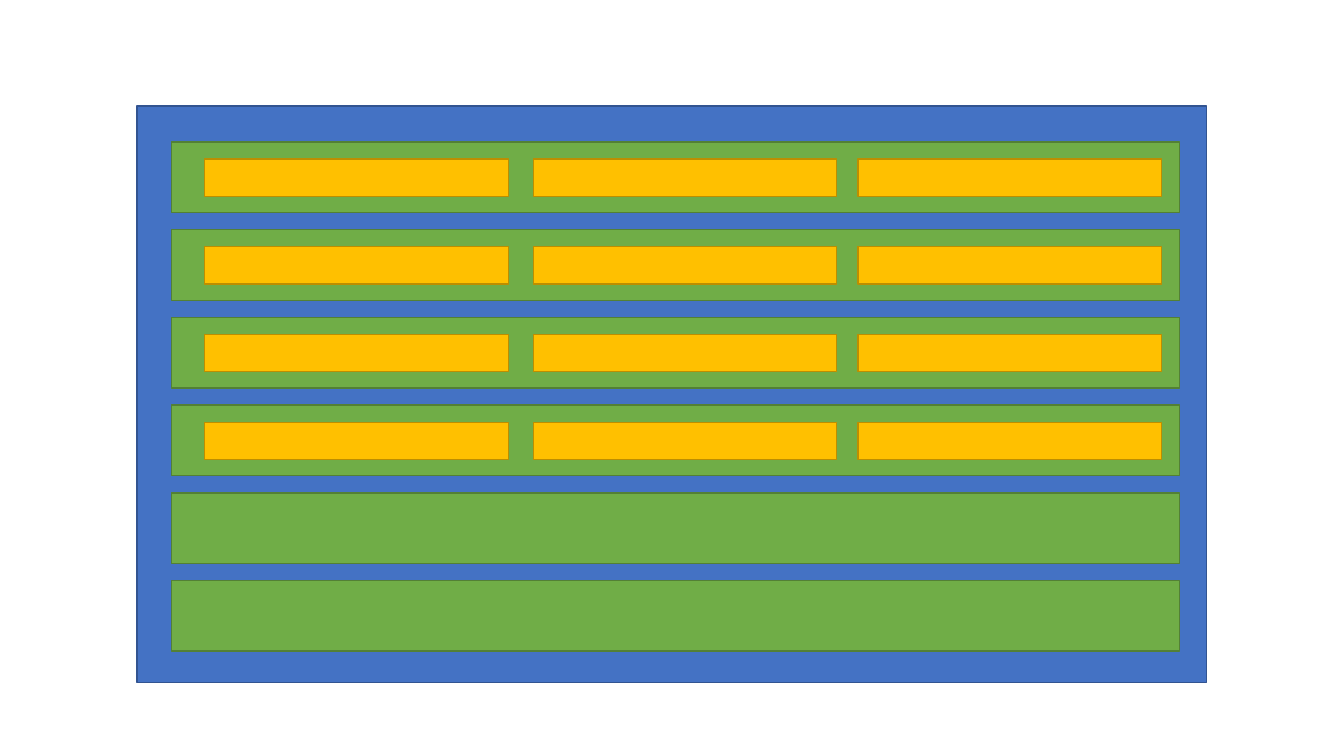
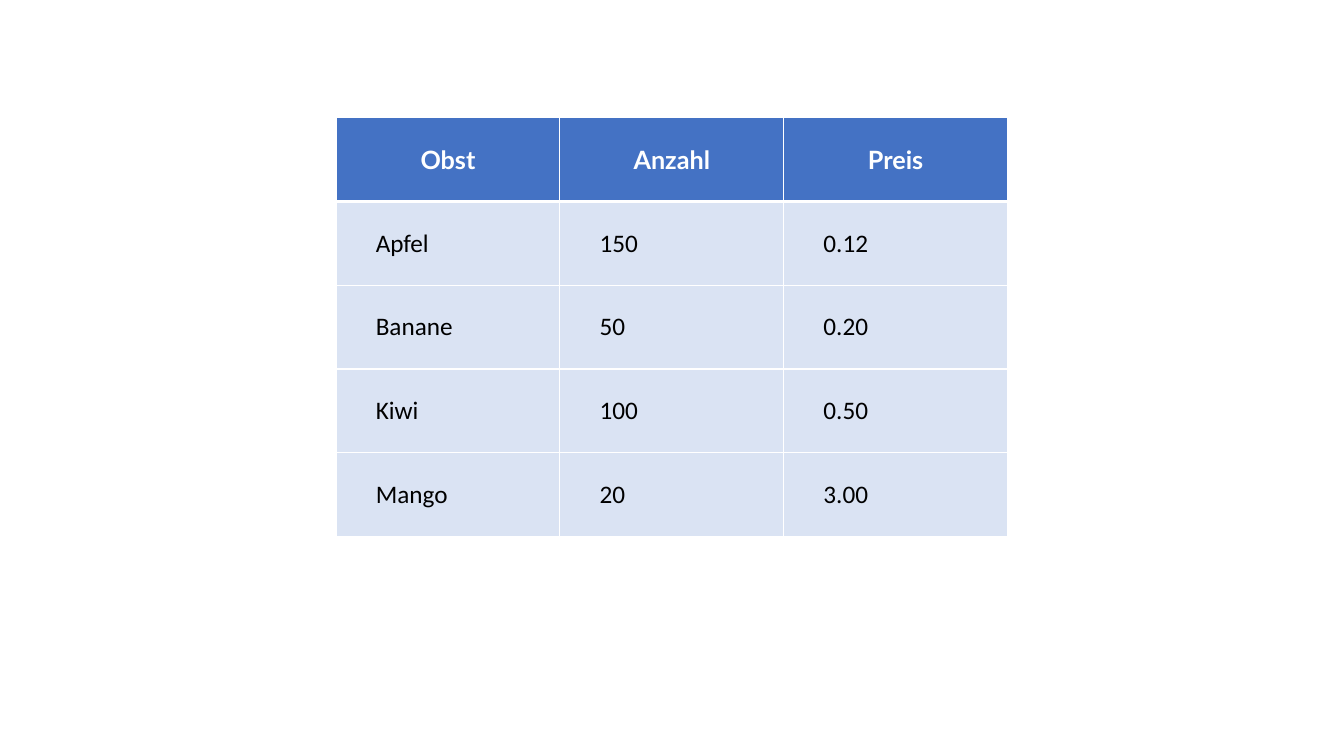
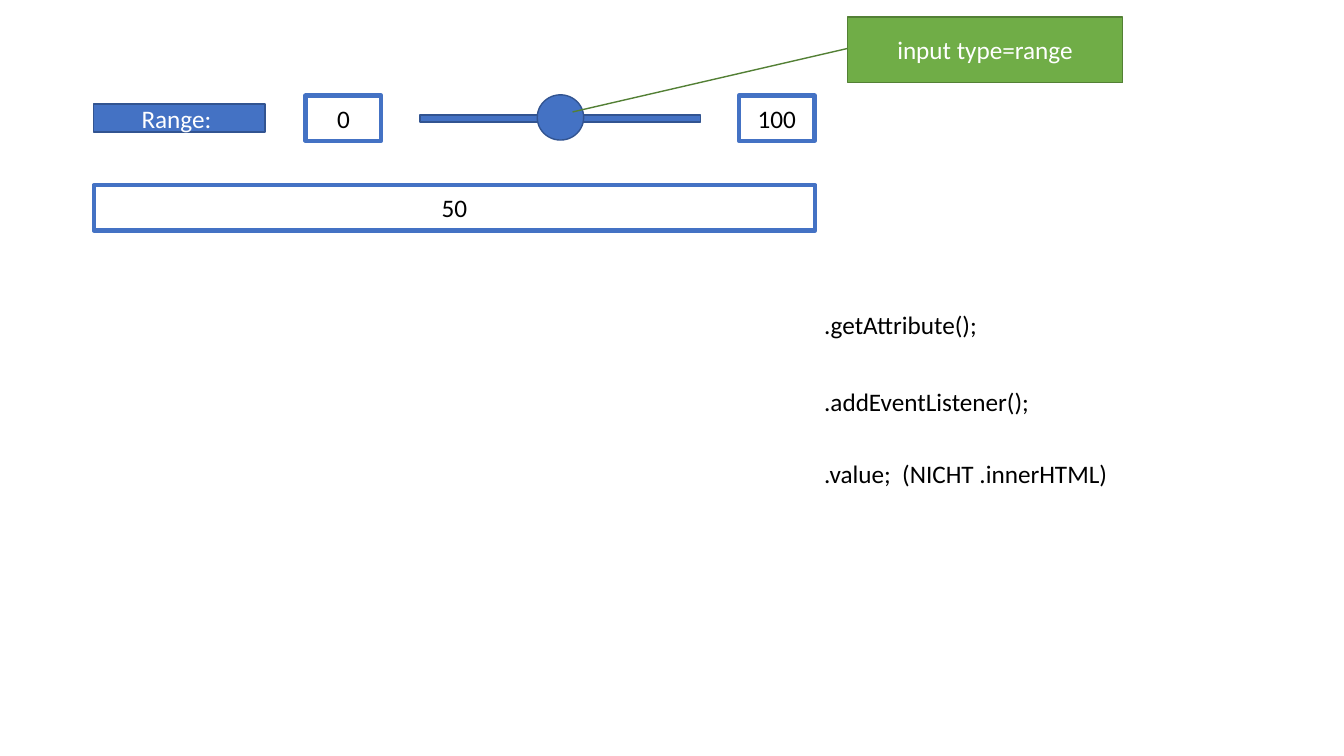
from dataclasses import dataclass

import pptx
import pptx.dml.color
import pptx.enum.shapes
import pptx.enum.text
import pptx.oxml
import pptx.oxml.ns
import pptx.presentation
import pptx.shapes.autoshape
import pptx.slide
import pptx.table
import pptx.text.text
import pptx.util

Cm = pptx.util.Cm
Pt = pptx.util.Pt
Kind = pptx.enum.shapes.MSO_SHAPE
Align = pptx.enum.text.PP_ALIGN
Anchor = pptx.enum.text.MSO_ANCHOR

COLORS = {
    "blue": "4472C4",
    "blue_edge": "325491",
    "blue_pale": "DAE3F3",
    "green": "70AD47",
    "green_edge": "538035",
    "gold": "FFC000",
    "gold_edge": "BD8E00",
    "white": "FFFFFF",
    "black": "000000",
}
BODY_FONT = "Calibri"
HEAD_FONT = "Lato"
TEXT_SIZE = 18


@dataclass(frozen=True)
class Look:
    fill: str
    edge: str
    edge_width: float = 1
    text: str = "white"


BLUE = Look("blue", "blue_edge")
GREEN = Look("green", "green_edge")
GOLD = Look("gold", "gold_edge")
FIELD = Look("white", "blue", 3, "black")


@dataclass(frozen=True)
class Box:
    """A filled shape; lengths are in centimetres."""
    left: float
    top: float
    width: float
    height: float
    look: Look
    text: str = ""
    kind: Kind = Kind.RECTANGLE


def rgb(name: str) -> pptx.dml.color.RGBColor:
    return pptx.dml.color.RGBColor.from_string(COLORS[name])


def blank_slide(prs: pptx.presentation.Presentation) -> pptx.slide.Slide:
    return prs.slides.add_slide(prs.slide_layouts[6])


def style_text(tf: pptx.text.text.TextFrame, color: str, align: Align = Align.LEFT,
               font: str = BODY_FONT, bold: bool = False) -> None:
    for p in tf.paragraphs:
        p.alignment = align
        for r in p.runs:
            r.font.name = font
            r.font.size = Pt(TEXT_SIZE)
            r.font.bold = bold
            r.font.color.rgb = rgb(color)


def add_box(s: pptx.slide.Slide, box: Box) -> pptx.shapes.autoshape.Shape:
    sp = s.shapes.add_shape(box.kind, Cm(box.left), Cm(box.top), Cm(box.width), Cm(box.height))
    sp.shadow.inherit = False
    sp.fill.solid()
    sp.fill.fore_color.rgb = rgb(box.look.fill)
    sp.line.color.rgb = rgb(box.look.edge)
    sp.line.width = Pt(box.look.edge_width)
    if box.text:
        tf = sp.text_frame
        tf.text = box.text
        tf.vertical_anchor = Anchor.MIDDLE
        style_text(tf, box.look.text, Align.CENTER)
    return sp


def add_label(s: pptx.slide.Slide, text: str, left: float, top: float, width: float) -> None:
    sp = s.shapes.add_textbox(Cm(left), Cm(top), Cm(width), Cm(1.03))
    tf = sp.text_frame
    tf.word_wrap = True
    tf.auto_size = pptx.enum.text.MSO_AUTO_SIZE.SHAPE_TO_FIT_TEXT
    tf.text = text
    style_text(tf, "black")


def set_borders(cell: pptx.table._Cell, top: float, bottom: float) -> None:
    """Draw white borders; call before filling, as the schema puts lines first."""
    tc_pr = cell._tc.get_or_add_tcPr()
    for side, width in (("L", 1), ("R", 1), ("T", top), ("B", bottom)):
        tc_pr.append(pptx.oxml.parse_xml(
            f'<a:ln{side} {pptx.oxml.ns.nsdecls("a")} w="{Pt(width)}"><a:solidFill>'
            f'<a:srgbClr val="{COLORS["white"]}"/></a:solidFill></a:ln{side}>'))


def build_grid_slide(prs: pptx.presentation.Presentation) -> None:
    s = blank_slide(prs)
    add_box(s, Box(3.45, 2.67, 26.95, 14.53, BLUE))
    row_tops = [3.58 + 2.21 * i for i in range(6)]
    for top in row_tops:
        add_box(s, Box(4.32, top, 25.4, 1.78, GREEN))
    for top in row_tops[:4]:
        for left in (5.16, 13.44, 21.62):
            add_box(s, Box(left, top + 0.43, 7.65, 0.94, GOLD))


def build_table_slide(prs: pptx.presentation.Presentation) -> None:
    rows = [
        ("Obst", "Anzahl", "Preis"),
        ("Apfel", "150", "0.12"),
        ("Banane", "50", "0.20"),
        ("Kiwi", "100", "0.50"),
        ("Mango", "20", "3.00"),
    ]
    s = blank_slide(prs)
    table = s.shapes.add_table(len(rows), len(rows[0]), Cm(8.47), Cm(2.97),
                               Cm(16.92), Cm(10.55)).table
    table.horz_banding = False
    for i, row in enumerate(rows):
        head = i == 0
        for j, text in enumerate(row):
            cell = table.cell(i, j)
            set_borders(cell, top=3 if i == 1 else 1, bottom=3 if head else 1)
            cell.fill.solid()
            cell.fill.fore_color.rgb = rgb("blue" if head else "blue_pale")
            cell.vertical_anchor = Anchor.MIDDLE
            cell.text_frame.text = text
            if head:
                style_text(cell.text_frame, "white", Align.CENTER, HEAD_FONT, True)
            else:
                cell.margin_left = Cm(1)
                style_text(cell.text_frame, "black")


def build_range_slide(prs: pptx.presentation.Presentation) -> None:
    s = blank_slide(prs)
    for box in (
        Box(2.36, 2.62, 4.32, 0.71, BLUE, "Range: "),
        Box(10.59, 2.9, 7.06, 0.18, BLUE),
        Box(13.54, 2.39, 1.17, 1.14, BLUE, kind=Kind.OVAL),
        Box(7.7, 2.41, 1.91, 1.14, FIELD, "0"),
        Box(18.62, 2.41, 1.91, 1.14, FIELD, "100"),
        Box(2.36, 4.67, 18.19, 1.14, FIELD, "50"),
    ):
        add_box(s, box)
    add_label(s, ".getAttribute();", 20.52, 7.67, 10.29)
    add_label(s, ".addEventListener();", 20.52, 9.6, 8.64)
    add_label(s, ".value;  (NICHT .innerHTML)", 20.52, 11.43, 8.64)
    callout = add_box(s, Box(21.36, 0.43, 6.93, 1.65, GREEN, "input type=range",
                             Kind.LINE_CALLOUT_1))
    for i, value in enumerate((0.48, 0, 1.45, -1)):
        callout.adjustments[i] = value


def main() -> None:
    prs = pptx.Presentation()
    prs.slide_width = Cm(33.87)
    prs.slide_height = Cm(19.05)
    build_grid_slide(prs)
    build_table_slide(prs)
    build_range_slide(prs)
    prs.save("out.pptx")


if __name__ == "__main__":
    main()
